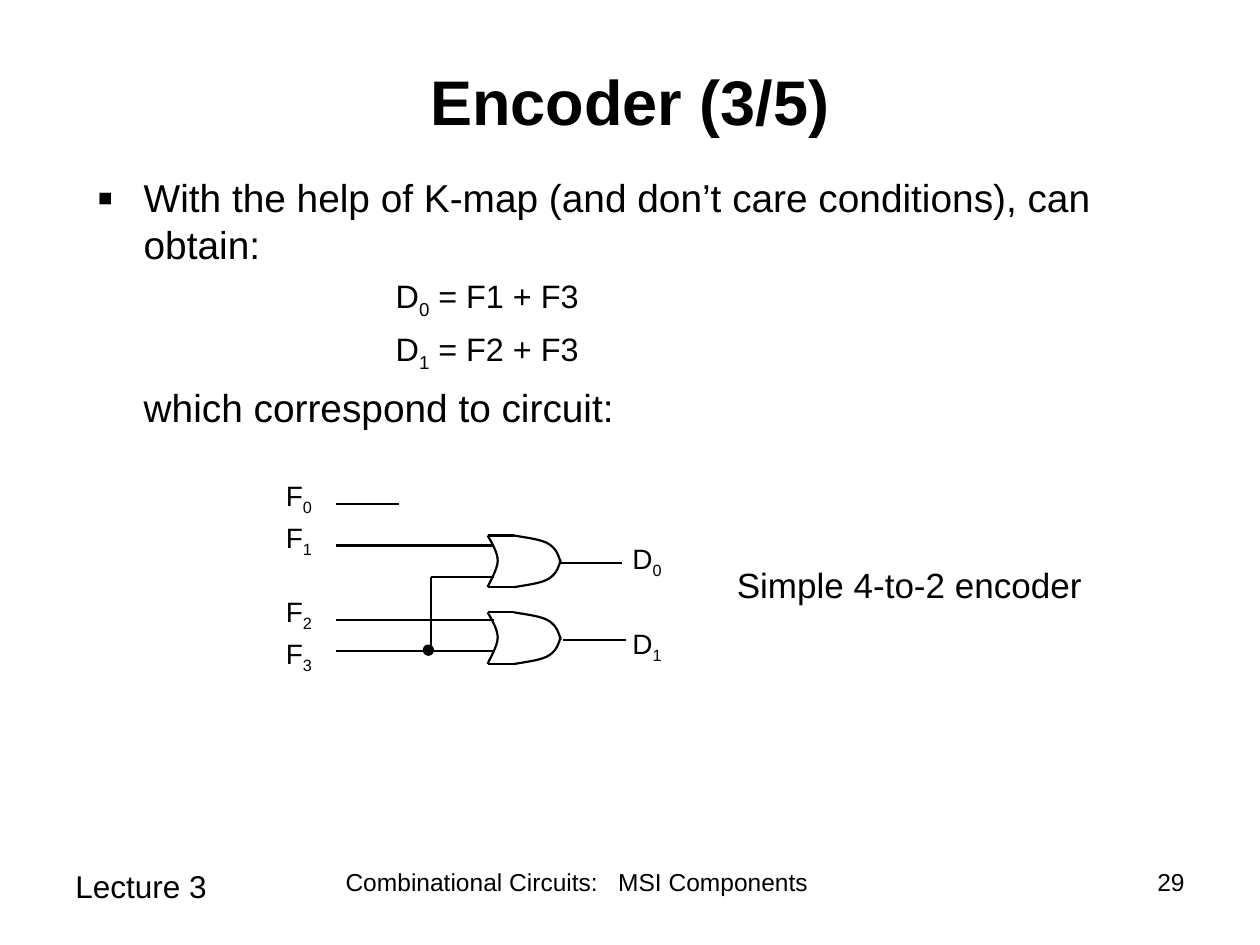
"""Build the Encoder (3/5) slide with its two-gate circuit."""
import dataclasses

import lxml.etree
import pptx
import pptx.dml.color
import pptx.enum.shapes
import pptx.enum.text
import pptx.oxml.ns
import pptx.util

Inches = pptx.util.Inches
Align = pptx.enum.text.PP_ALIGN
Point = tuple[float, float]
FONT = "Arial"
COLORS = {"ink": "000000"}
INK = pptx.dml.color.RGBColor.from_string(COLORS["ink"])
EQUATION_INDENT = 2.37
LIST_INDENT = 0.37


@dataclasses.dataclass
class Label:
    text: str
    left: float
    top: float
    width: float = 0.48
    height: float = 0.41
    subscript: str = ""
    size: float = 16
    align: Align = Align.LEFT


@dataclasses.dataclass
class Wire:
    start: Point
    end: Point


@dataclasses.dataclass
class Gate:
    left: float
    top: float


LABELS = [
    Label("Lecture 3", 0.5, 6.83, 2.33, 0.52, size=18),
    Label("Combinational Circuits:   MSI Components", 2.58, 6.83, 4, 0.52,
          size=14, align=Align.CENTER),
    Label("29", 7.17, 6.83, 2.33, 0.52, size=14, align=Align.RIGHT),
    *(Label("F", 2.17, top, subscript=str(index))
      for index, top in enumerate((3.75, 4.08, 4.67, 5))),
    *(Label("D", 4.92, top, subscript=str(index))
      for index, top in enumerate((4.25, 4.92))),
    Label("Simple 4-to-2 encoder", 5.75, 4.42, 3, 0.44, size=20),
]
WIRES = [
    Wire((2.67, 4), (3.17, 4)),
    Wire((2.67, 4.33), (3.92, 4.33)),
    Wire((2.67, 4.92), (3.92, 4.92)),
    Wire((2.67, 5.17), (3.92, 5.17)),
    Wire((3.42, 4.58), (3.92, 4.58)),
    Wire((3.42, 4.58), (3.42, 5.17)),
    Wire((4.44, 4.47), (4.94, 4.47)),
    Wire((4.47, 5.08), (4.97, 5.08)),
]
GATES = [Gate(3.87, 4.25), Gate(3.87, 4.86)]
GATE_HEIGHT = 0.41
GATE_SHOULDER = 0.21
GATE_BACK = [(0, 0), (0.04, 0.07), (0.08, 0.14), (0.08, 0.2),
             (0.08, 0.27), (0.01, 0.38), (0, 0.41)]
GATE_FRONT = [(0.21, 0), (0.32, 0.02), (0.43, 0.03), (0.49, 0.07),
              (0.55, 0.11), (0.57, 0.17), (0.58, 0.22)]


def write(para, text: str, *, size: float, subscript: str = "", tail: str = "",
          bold: bool = False, align: Align = Align.LEFT) -> None:
    """Add text, an optional subscript and the text after it to a paragraph."""
    para.alignment = align
    for part, baseline in ((text, 0), (subscript, -25000), (tail, 0)):
        if not part:
            continue
        span = para.add_run()
        span.text = part
        span.font.name = FONT
        span.font.size = pptx.util.Pt(size)
        span.font.bold = bold
        span.font.color.rgb = INK
        if baseline:
            span.font._element.set("baseline", str(baseline))


def add_element(parent, tag: str, **attributes: str):
    """Add a drawing element at the end of its parent."""
    return lxml.etree.SubElement(parent, pptx.oxml.ns.qn(f"a:{tag}"), **attributes)


def place(shape, left: float, top: float, width: float, height: float) -> None:
    """Move and size a shape, in inches."""
    shape.left, shape.top = Inches(left), Inches(top)
    shape.width, shape.height = Inches(width), Inches(height)


def format_item(para, indent: float, before: float, bullet: str = "") -> None:
    """Set the indent, the space before and the bullet of a list item."""
    para.space_before = pptx.util.Pt(before)
    props = para._p.get_or_add_pPr()
    props.set("marL", str(Inches(indent)))
    props.set("indent", str(-Inches(indent) if bullet else 0))
    if bullet:
        add_element(add_element(props, "buClr"), "srgbClr", val=COLORS["ink"])
        add_element(props, "buSzPct", val="120000")
        add_element(props, "buFont", typeface=FONT)
        add_element(props, "buChar", char=bullet)
    else:
        add_element(props, "buNone")


def add_label(page, label: Label) -> None:
    """Add a text box."""
    box = page.shapes.add_textbox(Inches(label.left), Inches(label.top),
                                  Inches(label.width), Inches(label.height))
    box.text_frame.word_wrap = True
    write(box.text_frame.paragraphs[0], label.text, size=label.size,
          subscript=label.subscript, align=label.align)


def add_wire(page, wire: Wire) -> None:
    """Add a straight line without a shadow."""
    line = page.shapes.add_connector(
        pptx.enum.shapes.MSO_CONNECTOR.STRAIGHT,
        *(Inches(value) for value in wire.start + wire.end))
    line.line.color.rgb = INK
    line.line.width = pptx.util.Pt(1.25)
    add_element(line._element.spPr, "effectLst")


def add_curve(page, gate: Gate, controls: list[Point]) -> None:
    """Add an open chain of cubic curves placed from the corner of a gate."""
    start, *rest = [(Inches(gate.left + x), Inches(gate.top + y)) for x, y in controls]
    builder = page.shapes.build_freeform(*start)
    builder.add_line_segments(rest, close=False)
    curve = builder.convert_to_shape()
    curve.shadow.inherit = False
    curve.fill.background()
    curve.line.color.rgb = INK
    curve.line.width = pptx.util.Pt(1.25)
    outline = next(curve._element.iter(pptx.oxml.ns.qn("a:path")))
    segments = outline.findall(pptx.oxml.ns.qn("a:lnTo"))
    for first in range(0, len(segments), 3):
        cubic = add_element(outline, "cubicBezTo")
        for segment in segments[first:first + 3]:
            cubic.append(segment[0])
            outline.remove(segment)


def add_gate(page, gate: Gate) -> None:
    """Add an OR gate: its back, two edges and two mirrored front curves."""
    mirrored = [(x, GATE_HEIGHT - y) for x, y in GATE_FRONT]
    for controls in (GATE_BACK, GATE_FRONT, mirrored):
        add_curve(page, gate, controls)
    for y in (gate.top, gate.top + GATE_HEIGHT):
        add_wire(page, Wire((gate.left, y), (gate.left + GATE_SHOULDER, y)))


def main() -> None:
    """Build and save the slide."""
    deck = pptx.Presentation()
    deck.slide_width, deck.slide_height = Inches(10), Inches(7.5)
    page = deck.slides.add_slide(deck.slide_layouts[1])

    title, body = page.placeholders
    place(title, 0.75, 0.17, 8.5, 1.25)
    write(title.text_frame.paragraphs[0], "Encoder (3/5)", size=36, bold=True,
          align=Align.CENTER)
    place(body, 0.67, 1.33, 8.5, 2.25)
    for box in (title, body):
        box.text_frame.auto_size = pptx.enum.text.MSO_AUTO_SIZE.NONE

    para = body.text_frame.paragraphs[0]
    format_item(para, LIST_INDENT, 0, bullet="▪")
    write(para, "With the help of K-map (and don’t care conditions), can obtain:", size=22.2)
    for subscript, tail in (("0", " = F1 + F3"), ("1", " = F2 + F3")):
        para = body.text_frame.add_paragraph()
        format_item(para, EQUATION_INDENT, 5)
        write(para, "D", subscript=subscript, tail=tail, size=18.5)
    para = body.text_frame.add_paragraph()
    format_item(para, LIST_INDENT, 6)
    write(para, "which correspond to circuit:", size=22.2)

    for draw, items in ((add_label, LABELS), (add_wire, WIRES), (add_gate, GATES)):
        for item in items:
            draw(page, item)
    dot = page.shapes.add_shape(pptx.enum.shapes.MSO_SHAPE.OVAL, Inches(3.36),
                                Inches(5.12), Inches(0.08), Inches(0.08))
    dot.shadow.inherit = False
    dot.fill.solid()
    dot.fill.fore_color.rgb = dot.line.color.rgb = INK
    dot.line.width = pptx.util.Pt(0.75)
    deck.save("out.pptx")


if __name__ == "__main__":
    main()
